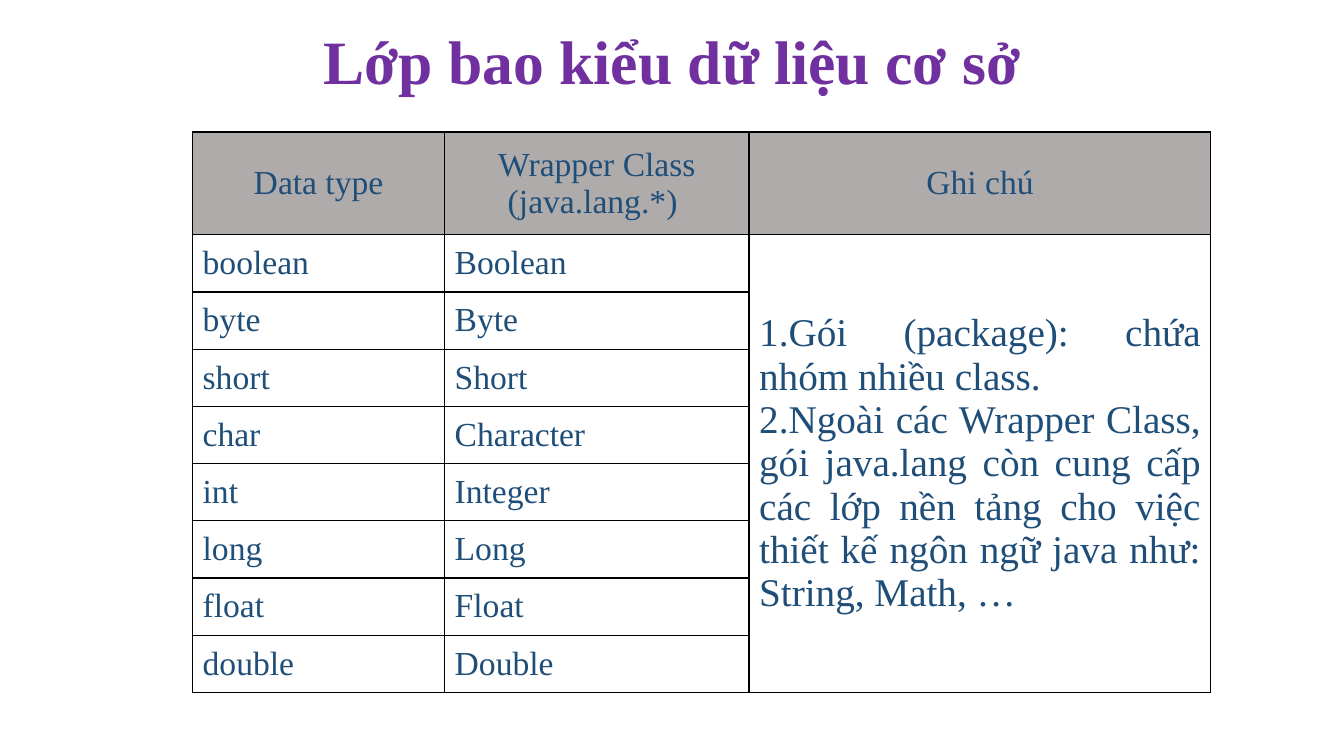
from lxml import etree
from pptx import Presentation
from pptx.dml.color import RGBColor
from pptx.enum.text import MSO_ANCHOR, PP_ALIGN
from pptx.oxml.ns import qn
from pptx.util import Inches, Pt

MIDDLE = MSO_ANCHOR.MIDDLE
LEFT, CENTER, JUSTIFY = PP_ALIGN.LEFT, PP_ALIGN.CENTER, PP_ALIGN.JUSTIFY

FONT = "Times New Roman"
COLORS = {
    "title": "7030A0",
    "body": "1F4E79",
    "header": "AFABAB",
    "border": "000000",
}

HEADINGS = ["Data type", "Wrapper Class (java.lang.*) ", "Ghi chú"]
WRAPPERS = [
    ("boolean", "Boolean"),
    ("byte", "Byte"),
    ("short", "Short"),
    ("char", "Character"),
    ("int", "Integer"),
    ("long", "Long"),
    ("float", "Float"),
    ("double", "Double"),
]
NOTES = [
    "Gói (package): chứa nhóm nhiều class.",
    "Ngoài các Wrapper Class, gói java.lang còn cung cấp các lớp nền tảng "
    "cho việc thiết kế ngôn ngữ java như: String, Math, …",
]
COLUMN_WIDTHS = [2.5, 3.02, 4.58]
HEADER_HEIGHT = 1.02


def write_text(frame, *lines, size=24, color="body", bold=False,
               align=LEFT, spacing=1.0, numbered=False):
    frame.word_wrap = True
    for index, line in enumerate(lines):
        paragraph = frame.add_paragraph() if index else frame.paragraphs[0]
        paragraph.alignment = align
        paragraph.line_spacing = spacing
        run = paragraph.add_run()
        run.text = line
        run.font.name = FONT
        run.font.size = Pt(size)
        run.font.bold = bold
        run.font.color.rgb = RGBColor.from_string(COLORS[color])
        if numbered:
            properties = paragraph._p.get_or_add_pPr()
            properties.set("marL", "0")
            properties.set("indent", "0")
            etree.SubElement(properties, qn("a:buFont"), typeface=FONT)
            etree.SubElement(properties, qn("a:buAutoNum"), type="arabicPeriod")


def format_cell(cell, fill=None):
    properties = cell._tc.get_or_add_tcPr()
    for side in ("a:lnL", "a:lnR", "a:lnT", "a:lnB"):
        border = etree.SubElement(properties, qn(side), w=str(Pt(1)))
        solid = etree.SubElement(border, qn("a:solidFill"))
        etree.SubElement(solid, qn("a:srgbClr"), val=COLORS["border"])
    cell.vertical_anchor = MIDDLE
    if fill:
        cell.fill.solid()
        cell.fill.fore_color.rgb = RGBColor.from_string(COLORS[fill])
    else:
        cell.fill.background()


def add_title(slide, left, top, width, height):
    title = slide.shapes.add_textbox(
        Inches(left), Inches(top), Inches(width), Inches(height))
    title.text_frame.vertical_anchor = MIDDLE
    write_text(title.text_frame, "Lớp bao kiểu dữ liệu cơ sở", size=44,
               color="title", bold=True, align=CENTER, spacing=0.9)


def add_wrapper_table(slide, left, top, width, height):
    table = slide.shapes.add_table(
        len(WRAPPERS) + 1, len(HEADINGS),
        Inches(left), Inches(top), Inches(width), Inches(height)).table
    table.first_row = False
    table.horz_banding = False
    for column, share in zip(table.columns, COLUMN_WIDTHS):
        column.width = Inches(width * share / sum(COLUMN_WIDTHS))
    body_height = (height - HEADER_HEIGHT) / len(WRAPPERS)
    for index, row in enumerate(table.rows):
        row.height = Inches(body_height if index else HEADER_HEIGHT)
        for cell in row.cells:
            format_cell(cell, None if index else "header")

    for column, heading in enumerate(HEADINGS):
        write_text(table.cell(0, column).text_frame, heading, align=CENTER)
    for row, names in enumerate(WRAPPERS, start=1):
        for column, name in enumerate(names):
            write_text(table.cell(row, column).text_frame, name)

    notes = table.cell(1, 2)
    notes.merge(table.cell(len(WRAPPERS), 2))
    write_text(notes.text_frame, *NOTES, size=28, align=JUSTIFY, numbered=True)


def main():
    deck = Presentation()
    deck.slide_width, deck.slide_height = Inches(13.33), Inches(7.5)
    slide = deck.slides.add_slide(deck.slide_layouts[6])
    add_title(slide, 0.92, 0.24, 11.5, 0.8)
    add_wrapper_table(slide, 1.91, 1.31, 10.1, 5.56)
    deck.save("out.pptx")


if __name__ == "__main__":
    main()
